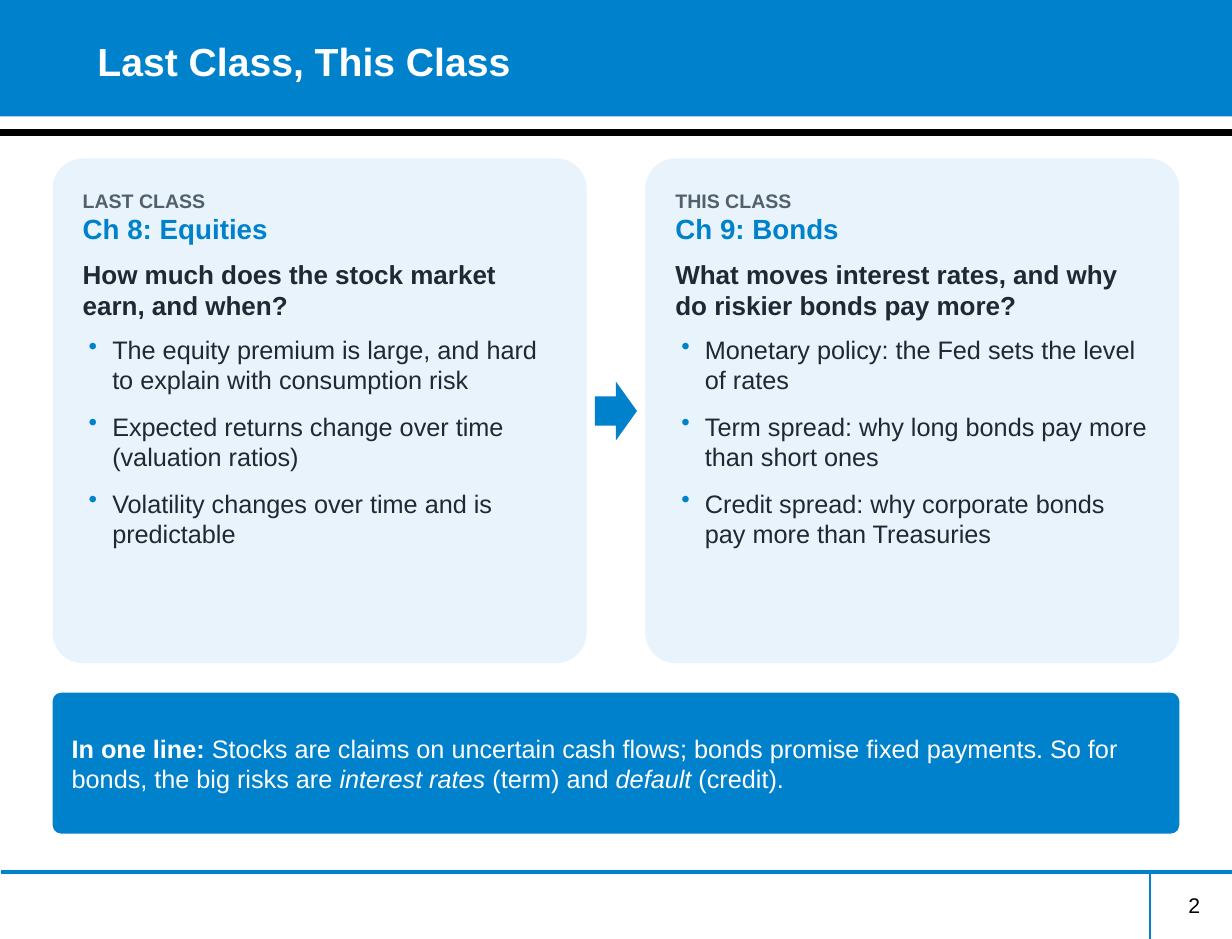
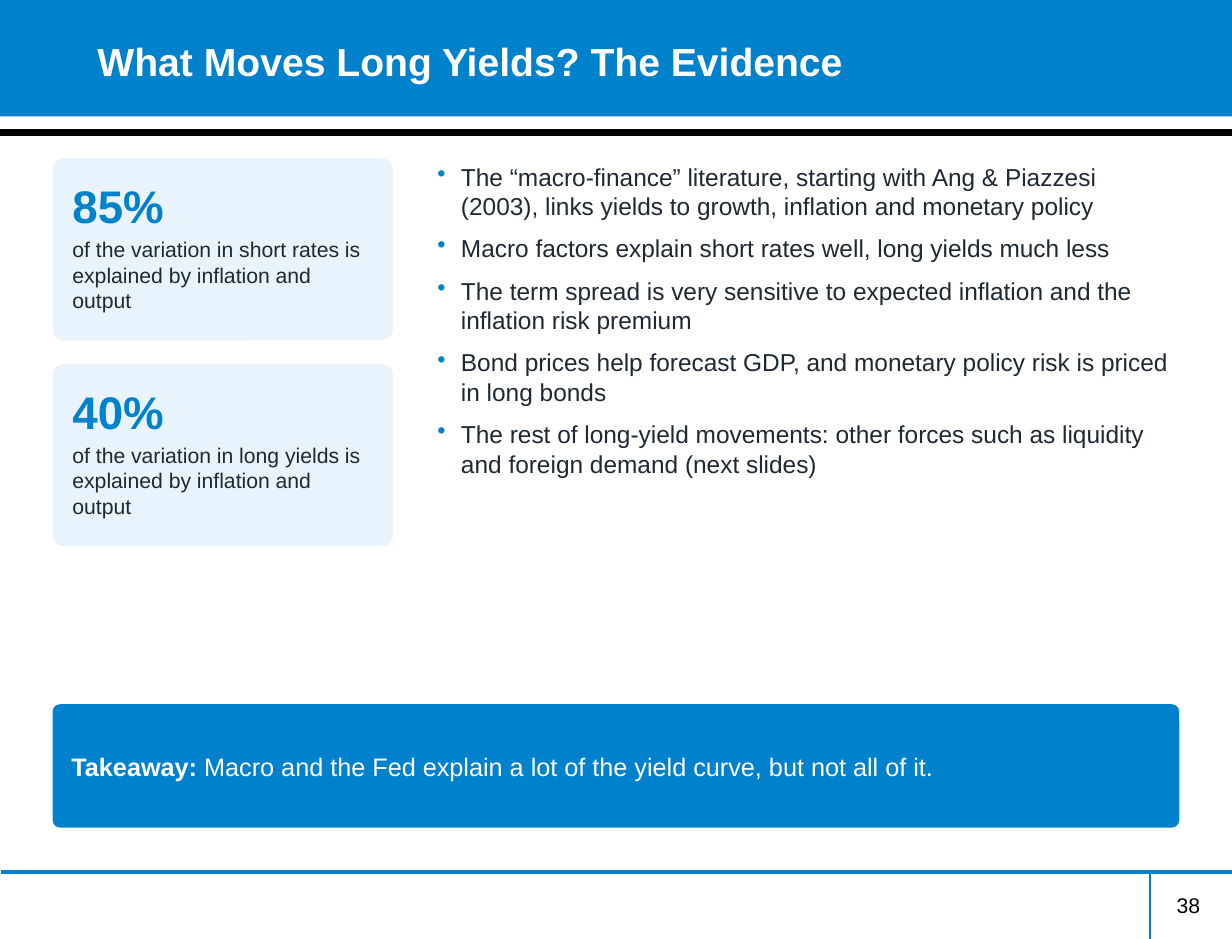
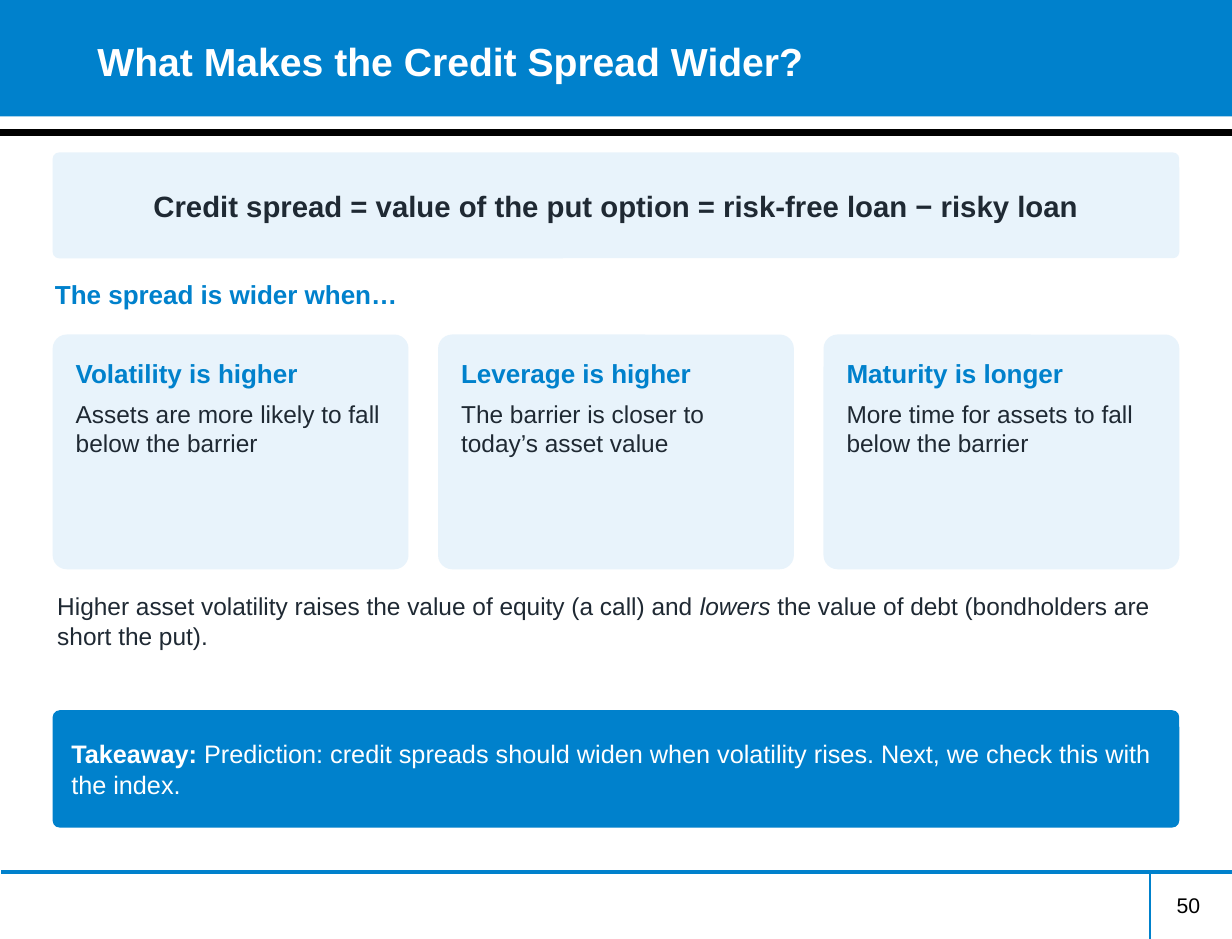
from dataclasses import dataclass
from typing import Optional

from lxml.etree import SubElement
from pptx import Presentation
from pptx.dml.color import RGBColor
from pptx.enum.shapes import MSO_CONNECTOR, MSO_SHAPE
from pptx.enum.text import MSO_ANCHOR, MSO_AUTO_SIZE, PP_ALIGN
from pptx.oxml.ns import qn
from pptx.util import Cm, Pt

BLUE = "0081CC"
PALE_BLUE = "E8F3FB"
INK = "1F2933"
SLATE = "52606D"
WHITE = "FFFFFF"
BLACK = "000000"

FONT = "Arial"
CORNER = 0.06

SLIDE_WIDTH, SLIDE_HEIGHT = 26.67, 20.32
MARGIN = 1.14
CONTENT_WIDTH = SLIDE_WIDTH - 2 * MARGIN
FOOTER_TOP = 18.87
DIVIDER_LEFT = 24.89


@dataclass(frozen=True)
class Box:
    """Position and size in centimetres."""
    left: float
    top: float
    width: float
    height: float

    def lengths(self) -> tuple:
        return Cm(self.left), Cm(self.top), Cm(self.width), Cm(self.height)


@dataclass(frozen=True)
class Rule:
    """A straight line, in centimetres, with its weight in points."""
    x1: float
    y1: float
    x2: float
    y2: float
    color: str
    weight: float


@dataclass(frozen=True)
class ClassPanel:
    label: str
    chapter: str
    question: str
    points: tuple


@dataclass(frozen=True)
class Statistic:
    share: str
    meaning: str


@dataclass(frozen=True)
class Driver:
    heading: str
    reason: str


TITLE_BOX = Box(1.83, -0.38, 24, 3.38)
NUMBER_BOX = Box(20.04, 19.18, 6.22, 1.42)
TITLE_BAND = Box(0, 0, SLIDE_WIDTH, 2.52)
RULES = (
    Rule(0, 2.87, SLIDE_WIDTH, 2.87, BLACK, 4),
    Rule(0.03, FOOTER_TOP, SLIDE_WIDTH, FOOTER_TOP, BLUE, 2),
    Rule(DIVIDER_LEFT, FOOTER_TOP, DIVIDER_LEFT, SLIDE_HEIGHT, BLUE, 1),
)

PANELS = (
    ClassPanel(
        "LAST CLASS", "Ch 8: Equities",
        "How much does the stock market earn, and when?",
        ("The equity premium is large, and hard to explain with consumption risk",
         "Expected returns change over time (valuation ratios)",
         "Volatility changes over time and is predictable")),
    ClassPanel(
        "THIS CLASS", "Ch 9: Bonds",
        "What moves interest rates, and why do riskier bonds pay more?",
        ("Monetary policy: the Fed sets the level of rates",
         "Term spread: why long bonds pay more than short ones",
         "Credit spread: why corporate bonds pay more than Treasuries")),
)

STATISTICS = (
    Statistic("85%", "of the variation in short rates is explained by inflation and output"),
    Statistic("40%", "of the variation in long yields is explained by inflation and output"),
)

EVIDENCE = (
    "The “macro-finance” literature, starting with Ang & Piazzesi (2003), "
    "links yields to growth, inflation and monetary policy",
    "Macro factors explain short rates well, long yields much less",
    "The term spread is very sensitive to expected inflation and the inflation risk premium",
    "Bond prices help forecast GDP, and monetary policy risk is priced in long bonds",
    "The rest of long-yield movements: other forces such as liquidity "
    "and foreign demand (next slides)",
)

DRIVERS = (
    Driver("Volatility is higher", "Assets are more likely to fall below the barrier"),
    Driver("Leverage is higher", "The barrier is closer to today’s asset value"),
    Driver("Maturity is longer", "More time for assets to fall below the barrier"),
)


def rgb(color: str) -> RGBColor:
    return RGBColor.from_string(color)


def columns(count: int, gap: float, top: float, height: float) -> list[Box]:
    """Equal boxes side by side across the content width."""
    width = (CONTENT_WIDTH - (count - 1) * gap) / count
    return [Box(MARGIN + i * (width + gap), top, width, height) for i in range(count)]


def add_bullet(paragraph) -> None:
    properties = paragraph._p.get_or_add_pPr()
    properties.set("marL", str(Cm(0.64)))
    properties.set("indent", str(-Cm(0.51)))
    bullet_color = SubElement(properties, qn("a:buClr"))
    SubElement(bullet_color, qn("a:srgbClr"), val=BLUE)
    SubElement(properties, qn("a:buChar"), char="•")


def write(frame, text: str, *, size: float, color: str = INK, bold: bool = False,
          lead: str = "", after: float = 0, align: PP_ALIGN = PP_ALIGN.LEFT,
          bullet: bool = False) -> None:
    """Add a paragraph: lead is set in bold, words between asterisks in italics."""
    paragraph = frame.paragraphs[0]
    if paragraph.runs:
        paragraph = frame.add_paragraph()
    if bullet:
        add_bullet(paragraph)
    paragraph.alignment = align
    paragraph.space_before = Pt(0)
    paragraph.space_after = Pt(after)
    pieces = [(lead, True, False)] if lead else []
    pieces += [(words, bold, i % 2 == 1) for i, words in enumerate(text.split("*"))]
    for words, is_bold, is_italic in pieces:
        run = paragraph.add_run()
        run.text = words
        run.font.name = FONT
        run.font.size = Pt(size)
        run.font.color.rgb = rgb(color)
        run.font.bold = is_bold
        run.font.italic = is_italic


def set_frame(frame, inset: float, inset_y: Optional[float] = None,
              anchor: MSO_ANCHOR = MSO_ANCHOR.TOP) -> None:
    frame.word_wrap = True
    frame.auto_size = MSO_AUTO_SIZE.NONE
    frame.vertical_anchor = anchor
    frame.margin_left = frame.margin_right = Cm(inset)
    frame.margin_top = frame.margin_bottom = Cm(inset if inset_y is None else inset_y)


def add_filled(slide, preset: MSO_SHAPE, box: Box, color: str):
    shape = slide.shapes.add_shape(preset, *box.lengths())
    shape.shadow.inherit = False
    shape.fill.solid()
    shape.fill.fore_color.rgb = rgb(color)
    shape.line.fill.background()
    return shape


def add_card(slide, box: Box, inset: float, color: str = PALE_BLUE,
             anchor: MSO_ANCHOR = MSO_ANCHOR.TOP):
    """Draw a rounded card and return its text frame."""
    card = add_filled(slide, MSO_SHAPE.ROUNDED_RECTANGLE, box, color)
    card.adjustments[0] = CORNER
    set_frame(card.text_frame, inset, anchor=anchor)
    return card.text_frame


def add_text_area(slide, box: Box, inset: float, inset_y: Optional[float] = None):
    frame = slide.shapes.add_textbox(*box.lengths()).text_frame
    set_frame(frame, inset, inset_y)
    return frame


def add_rule(slide, rule: Rule):
    line = slide.shapes.add_connector(
        MSO_CONNECTOR.STRAIGHT, Cm(rule.x1), Cm(rule.y1), Cm(rule.x2), Cm(rule.y2))
    line.line.color.rgb = rgb(rule.color)
    line.line.width = Pt(rule.weight)
    SubElement(line.element.spPr, qn("a:effectLst"))
    return line


def add_takeaway(slide, top: float, height: float, lead: str, text: str) -> None:
    banner = add_card(slide, Box(MARGIN, top, CONTENT_WIDTH, height), 0.36,
                      BLUE, MSO_ANCHOR.MIDDLE)
    write(banner, text, lead=lead, size=15.5, color=WHITE, after=4)


def furnish_layout(layout, slide) -> None:
    """Draw the shared band and rules, then move them behind the layout's title."""
    for placeholder in list(layout.placeholders):
        if placeholder.placeholder_format.idx != 0:
            layout.shapes.element.remove(placeholder.element)
    furniture = [add_filled(slide, MSO_SHAPE.RECTANGLE, TITLE_BAND, BLUE)]
    furniture += [add_rule(slide, rule) for rule in RULES]
    for position, part in enumerate(furniture, start=2):
        layout.shapes.element.insert(position, part.element)


def start_slide(presentation, title: str, number: int):
    layout = presentation.slide_layouts.get_by_name("Title Only")
    slide = presentation.slides.add_slide(layout)
    if len(presentation.slides) == 1:
        furnish_layout(layout, slide)
    heading = slide.shapes.title
    heading.left, heading.top, heading.width, heading.height = TITLE_BOX.lengths()
    set_frame(heading.text_frame, 0.28, 0.13, MSO_ANCHOR.MIDDLE)
    write(heading.text_frame, title, size=24, color=WHITE, bold=True)
    write(add_text_area(slide, NUMBER_BOX, 0.28, 0.13), str(number), size=13,
          color=BLACK, align=PP_ALIGN.RIGHT)
    return slide


def build_class_overview(presentation) -> None:
    slide = start_slide(presentation, "Last Class, This Class", 2)
    for panel, box in zip(PANELS, columns(2, 1.27, 3.43, 10.92)):
        frame = add_card(slide, box, 0.46)
        write(frame, panel.label, size=12, color=SLATE, bold=True)
        write(frame, panel.chapter, size=17, color=BLUE, bold=True, after=8)
        write(frame, panel.question, size=16, bold=True, after=8)
        for point in panel.points:
            write(frame, point, size=15.5, after=10, bullet=True)
    arrow_width = 0.91
    add_filled(slide, MSO_SHAPE.RIGHT_ARROW,
               Box((SLIDE_WIDTH - arrow_width) / 2, 8.26, arrow_width, 1.27), BLUE)
    add_takeaway(slide, 14.99, 3.05, "In one line: ",
                 "Stocks are claims on uncertain cash flows; bonds promise fixed payments. "
                 "So for bonds, the big risks are *interest rates* (term) and "
                 "*default* (credit).")


def build_yield_evidence(presentation) -> None:
    slide = start_slide(presentation, "What Moves Long Yields? The Evidence", 38)
    card_height, gap = 3.94, 0.51
    for row, statistic in enumerate(STATISTICS):
        top = 3.43 + row * (card_height + gap)
        frame = add_card(slide, Box(MARGIN, top, 7.37, card_height), 0.36)
        write(frame, statistic.share, size=28, color=BLUE, bold=True, after=2)
        write(frame, statistic.meaning, size=13, after=4)
    findings = add_text_area(slide, Box(9.14, 3.3, 16.38, 11.43), 0.2)
    for finding in EVIDENCE:
        write(findings, finding, size=15, after=8, bullet=True)
    add_takeaway(slide, 15.24, 2.67, "Takeaway: ",
                 "Macro and the Fed explain a lot of the yield curve, but not all of it.")


def build_credit_spread(presentation) -> None:
    slide = start_slide(presentation, "What Makes the Credit Spread Wider?", 50)
    formula = add_card(slide, Box(MARGIN, 3.3, CONTENT_WIDTH, 2.29), 0.2,
                       anchor=MSO_ANCHOR.MIDDLE)
    write(formula, "Credit spread = value of the put option = risk-free loan − risky loan",
          size=18, bold=True, after=4, align=PP_ALIGN.CENTER)
    write(add_text_area(slide, Box(MARGIN, 5.97, CONTENT_WIDTH, 1.14), 0.05),
          "The spread is wider when…", size=16, color=BLUE, bold=True, after=4)
    for driver, box in zip(DRIVERS, columns(3, 0.64, 7.24, 5.08)):
        frame = add_card(slide, box, 0.41)
        write(frame, driver.heading, size=16, color=BLUE, bold=True, after=6)
        write(frame, driver.reason, size=15, after=4)
    write(add_text_area(slide, Box(MARGIN, 12.7, CONTENT_WIDTH, 2.29), 0.1),
          "Higher asset volatility raises the value of equity (a call) and *lowers* "
          "the value of debt (bondholders are short the put).", size=15, after=4)
    add_takeaway(slide, 15.37, 2.54, "Takeaway: ",
                 "Prediction: credit spreads should widen when volatility rises. "
                 "Next, we check this with the index.")


def main() -> None:
    presentation = Presentation()
    presentation.slide_width = Cm(SLIDE_WIDTH)
    presentation.slide_height = Cm(SLIDE_HEIGHT)
    build_class_overview(presentation)
    build_yield_evidence(presentation)
    build_credit_spread(presentation)
    presentation.save("out.pptx")


if __name__ == "__main__":
    main()
